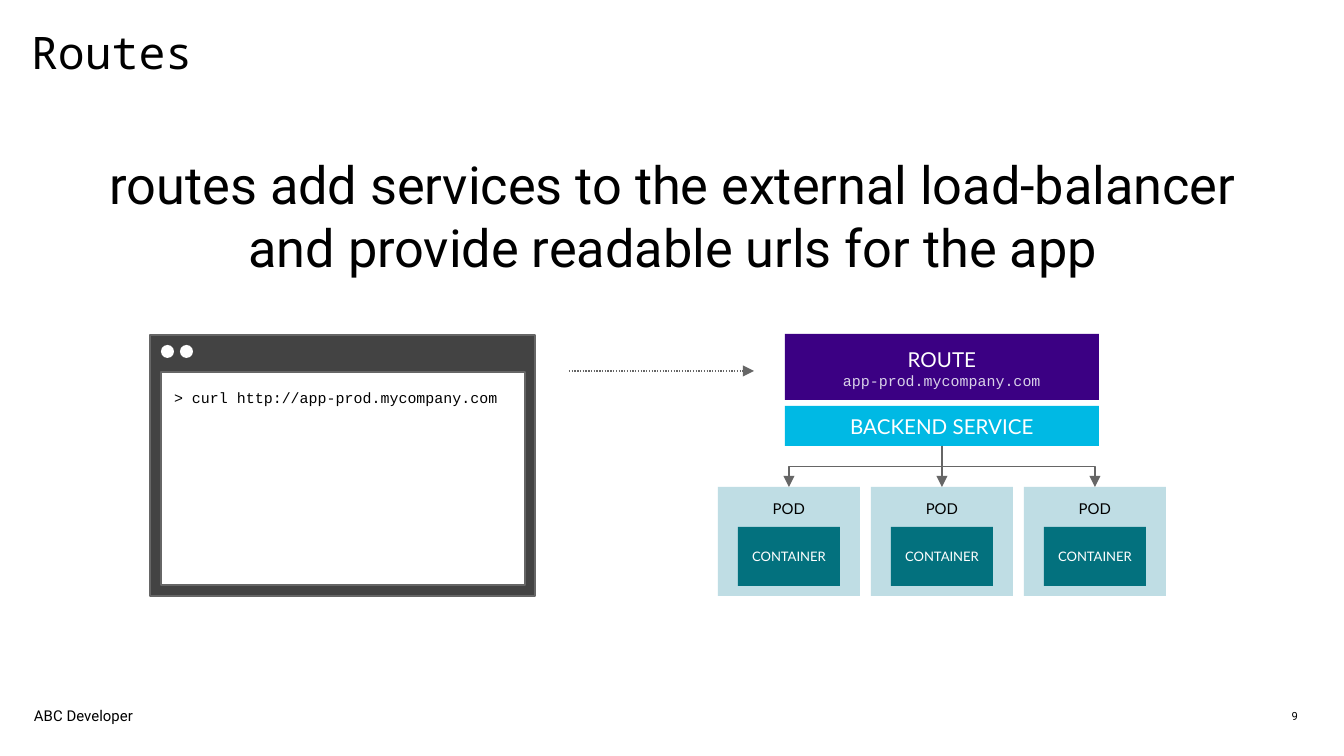
from dataclasses import dataclass

from lxml import etree
from pptx import Presentation
from pptx.dml.color import RGBColor
from pptx.enum.dml import MSO_LINE
from pptx.enum.shapes import MSO_CONNECTOR, MSO_SHAPE
from pptx.enum.text import MSO_ANCHOR, PP_ALIGN
from pptx.oxml.ns import qn
from pptx.util import Emu, Pt

EMU_PER_PX = 914400 / 134.4
RECT, OVAL = MSO_SHAPE.RECTANGLE, MSO_SHAPE.OVAL
STRAIGHT, ELBOW = MSO_CONNECTOR.STRAIGHT, MSO_CONNECTOR.ELBOW
TOP, MIDDLE = MSO_ANCHOR.TOP, MSO_ANCHOR.MIDDLE
LEFT, CENTER, RIGHT = PP_ALIGN.LEFT, PP_ALIGN.CENTER, PP_ALIGN.RIGHT
DOTTED = MSO_LINE.ROUND_DOT

BLACK, WHITE, GREY = "000000", "FFFFFF", "666666"
INSET = 13


@dataclass(frozen=True)
class Box:
    x: int
    y: int
    w: int
    h: int


@dataclass(frozen=True)
class Line:
    text: str
    size: int
    font: str
    color: str = BLACK


@dataclass(frozen=True)
class Label:
    """Lines of one paragraph and their placement."""
    lines: tuple[Line, ...]
    align: PP_ALIGN = CENTER
    anchor: MSO_ANCHOR = MIDDLE
    inset: int = INSET


def px(n: float) -> Emu:
    return Emu(round(n * EMU_PER_PX))


def rgb(color: str) -> RGBColor:
    return RGBColor.from_string(color)


def write(sp, label: Label):
    """Fill the text frame and return its paragraph."""
    tf = sp.text_frame
    tf.word_wrap = True
    tf.vertical_anchor = label.anchor
    tf.margin_left = tf.margin_right = px(label.inset)
    tf.margin_top = tf.margin_bottom = px(label.inset)
    p = tf.paragraphs[0]
    p.alignment = label.align
    for i, line in enumerate(label.lines):
        if i:
            p.add_line_break()
        r = p.add_run()
        r.text = line.text
        r.font.size, r.font.name = Pt(line.size), line.font
        r.font.color.rgb = rgb(line.color)
    return p


def add_text(s, box: Box, label: Label):
    sp = s.shapes.add_textbox(px(box.x), px(box.y), px(box.w), px(box.h))
    return write(sp, label)


def add_block(s, box: Box, fill: str, label: Label | None = None,
              outline: str | None = None, kind: MSO_SHAPE = RECT) -> None:
    sp = s.shapes.add_shape(kind, px(box.x), px(box.y), px(box.w), px(box.h))
    sp.shadow.inherit = False
    sp.fill.solid()
    sp.fill.fore_color.rgb = rgb(fill)
    if outline:
        sp.line.color.rgb = rgb(outline)
        sp.line.width = Pt(0.75)
    else:
        sp.line.fill.background()
    if label:
        write(sp, label)


def add_arrow(s, x1: float, y1: float, x2: float, y2: float,
              kind: MSO_CONNECTOR = STRAIGHT):
    c = s.shapes.add_connector(kind, px(x1), px(y1), px(x2), px(y2))
    c.line.color.rgb = rgb(GREY)
    c.line.width = Pt(0.75)
    etree.SubElement(c.line._get_or_add_ln(), qn("a:tailEnd"), type="triangle")
    etree.SubElement(c._element.spPr, qn("a:effectLst"))
    return c


def add_down_elbow(s, x1: int, y1: int, x2: int, y2: int) -> None:
    """Elbow leaving downwards: a sideways elbow turned by a quarter."""
    cx, cy = (x1 + x2) / 2, (y1 + y2) / 2
    half_w, half_h = (y2 - y1) / 2, abs(x2 - x1) / 2
    side = 1 if x2 > x1 else -1
    c = add_arrow(s, cx + side * half_w, cy - half_h,
                  cx - side * half_w, cy + half_h, ELBOW)
    quarter_turns = 3 if side > 0 else 1
    c._element.spPr.find(qn("a:xfrm")).set("rot", str(quarter_turns * 5400000))


def add_pod(s, center: int) -> None:
    add_block(s, Box(center - 71, POD_TOP, 142, 109), "BFDDE4",
              Label((Line("POD", 8, "Lato"),), anchor=TOP))
    add_block(s, Box(center - 51, POD_TOP + 40, 102, 59), "03717E",
              Label((Line("CONTAINER", 7, "Lato", WHITE),)))


def add_terminal(s) -> None:
    add_block(s, Box(150, 335, 385, 261), "434343", outline=GREY)
    add_block(s, Box(161, 372, 364, 213), WHITE, outline=GREY)
    add_text(s, Box(161, 380, 384, 54), Label(
        (Line("> curl http://app-prod.mycompany.com", 8, "Courier New"),), LEFT, TOP))
    for x in (161, 180):
        add_block(s, Box(x, 345, 13, 13), WHITE, kind=OVAL)


SERVICE = Box(785, 406, 314, 40)
SERVICE_CENTER = SERVICE.x + SERVICE.w // 2
SERVICE_BOTTOM = SERVICE.y + SERVICE.h
POD_TOP, POD_PITCH = 487, 153

prs = Presentation()
prs.slide_width, prs.slide_height = px(1344), px(756)
s = prs.slides.add_slide(prs.slide_layouts[6])

title = add_text(s, Box(31, 26, 609, 118),
                 Label((Line("Routes", 24, "Noto Sans Mono"),), LEFT, TOP, 0))
title.line_spacing, title.space_after = Pt(28), Pt(18)
add_text(s, Box(50, 137, 1245, 156), Label((Line(
    "routes add services to the external load-balancer "
    "and provide readable urls for the app", 28, "Roboto"),)))

add_terminal(s)
add_arrow(s, 569, 371, 754, 371).line.dash_style = DOTTED

add_block(s, Box(SERVICE.x, 334, SERVICE.w, 66), "3B0083", Label((
    Line("ROUTE", 11, "Lato", WHITE),
    Line("app-prod.mycompany.com", 8, "Courier New", "D9D2E9")), anchor=TOP))
add_block(s, SERVICE, "00B9E4",
          Label((Line("BACKEND SERVICE", 11, "Lato", WHITE),)))
for step in (-1, 0, 1):
    center = SERVICE_CENTER + step * POD_PITCH
    add_pod(s, center)
    connect = add_down_elbow if step else add_arrow
    connect(s, SERVICE_CENTER, SERVICE_BOTTOM, center, POD_TOP)

add_text(s, Box(34, 704, 605, 24),
         Label((Line("ABC Developer", 8, "Roboto"),), LEFT, inset=0))
add_text(s, Box(1042, 704, 269, 24), Label((Line("9", 6, "Roboto"),), RIGHT))

prs.save("out.pptx")
